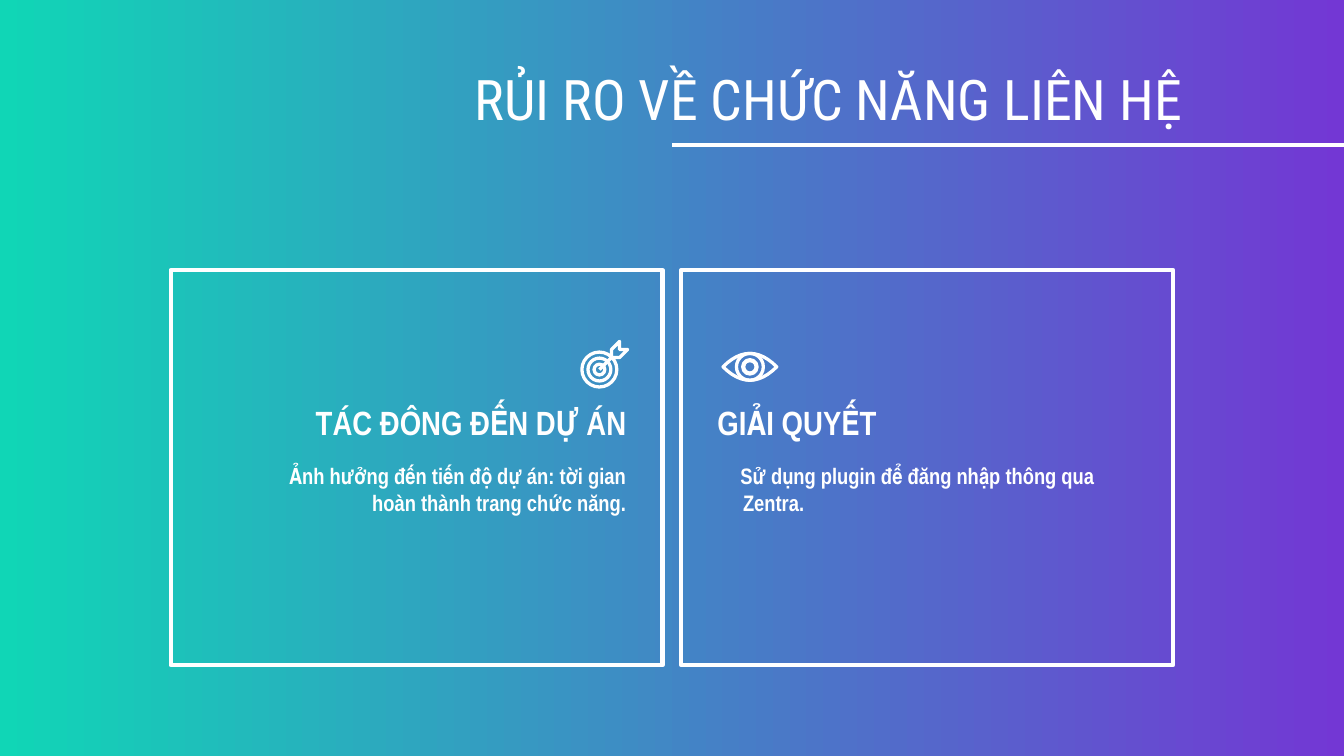
from lxml import etree
from pptx import Presentation
from pptx import util as u
from pptx.dml.color import RGBColor
from pptx.enum import shapes, text
from pptx.oxml import ns

WHITE = RGBColor(0xFF, 0xFF, 0xFF)
TEAL = RGBColor(0x10, 0xD6, 0xB6)
PURPLE = RGBColor(0x73, 0x37, 0xD4)
SLIDE_WIDTH = u.Inches(10)
SLIDE_HEIGHT = SLIDE_WIDTH * 9 // 16
CARD_LEFT, CARD_TOP, CARD_WIDTH, CARD_HEIGHT, CARD_GAP = 1.27, 2.01, 3.66, 2.94, 0.14
TEXT_WIDTH, TEXT_MARGIN = 3.06, 0.17
BORDER, ICON_STROKE = 2.25, 1.75
BODY_FONT, TITLE_FONT = "Arial Narrow", "Roboto Condensed"
RIGHT, LEFT = text.PP_ALIGN.RIGHT, text.PP_ALIGN.LEFT


def inches(*values):
    return [u.Inches(value) for value in values]


def outline(shape, width):
    shape.shadow.inherit = False
    shape.fill.background()
    shape.line.color.rgb = WHITE
    shape.line.width = u.Pt(width)


def add_line(slide, start, end, width):
    line = slide.shapes.add_connector(
        shapes.MSO_CONNECTOR.STRAIGHT, *inches(*start, *end))
    line.line.color.rgb = WHITE
    line.line.width = u.Pt(width)
    etree.SubElement(line._element.spPr, ns.qn("a:effectLst"))


def add_ring(slide, x, y, radius, width=ICON_STROKE):
    ring = slide.shapes.add_shape(
        shapes.MSO_SHAPE.OVAL, *inches(x - radius, y - radius, 2 * radius, 2 * radius))
    outline(ring, width)


def add_outline(slide, points):
    corners = [inches(*point) for point in points]
    builder = slide.shapes.build_freeform(*corners[0])
    builder.add_line_segments(corners[1:], close=True)
    outline(builder.convert_to_shape(), ICON_STROKE)


def add_text(slide, box, words, size, font, align, bold=True,
             anchor=text.MSO_ANCHOR.BOTTOM, margin=0, indent=0):
    frame = slide.shapes.add_textbox(*inches(*box)).text_frame
    frame.word_wrap = True
    frame.vertical_anchor = anchor
    frame.margin_left = frame.margin_right = u.Inches(0.1)
    frame.margin_top = frame.margin_bottom = u.Inches(0.1)
    paragraph = frame.paragraphs[0]
    paragraph.text = words
    paragraph.alignment = align
    if margin:
        properties = paragraph._p.get_or_add_pPr()
        properties.set("marL", str(u.Inches(margin)))
        properties.set("indent", str(u.Inches(indent)))
    paragraph.font.name = font
    paragraph.font.size = u.Pt(size)
    paragraph.font.bold = bold
    paragraph.font.color.rgb = WHITE


def target_icon(slide, left, top):
    """Three rings with a dart stuck in the middle."""
    x, y = left + 0.15, top + 0.22
    for radius in (0.13, 0.085, 0.04):
        add_ring(slide, x, y, radius)
    add_line(slide, (x, y), (x + 0.09, y - 0.09), ICON_STROKE)
    flight = [(0.09, 0.09), (0.09, 0.15), (0.15, 0.21),
              (0.15, 0.15), (0.21, 0.15), (0.15, 0.09)]
    add_outline(slide, [(x + across, y - up) for across, up in flight])


def eye_icon(slide, left, top):
    """Lens of two parabolas around an iris and a pupil."""
    half_width, half_height, steps = 0.2, 0.1, 12
    x, y = left + 0.22, top + 0.12
    shares = [2 * step / steps - 1 for step in range(steps + 1)]
    upper = [(x + half_width * share, y - half_height * (1 - share ** 2)) for share in shares]
    lower = [(across, 2 * y - down) for across, down in upper[-2:0:-1]]
    add_outline(slide, upper + lower)
    add_ring(slide, x, y, 0.1)
    add_ring(slide, x, y, 0.05, BORDER)


def header(slide, left, top, width, height):
    add_text(slide, (left, top, width, height), "RỦI RO VỀ CHỨC NĂNG LIÊN HỆ",
             30, TITLE_FONT, RIGHT, bold=False)
    slide_width = SLIDE_WIDTH.inches
    add_line(slide, (slide_width / 2, top + height), (slide_width, top + height), BORDER)


def card(slide, left, top, heading, body, align, margin, indent, icon, icon_offset):
    frame = slide.shapes.add_shape(
        shapes.MSO_SHAPE.RECTANGLE, *inches(left, top, CARD_WIDTH, CARD_HEIGHT))
    outline(frame, BORDER)
    text_left = left + TEXT_MARGIN
    if align == RIGHT:
        text_left = left + CARD_WIDTH - TEXT_MARGIN - TEXT_WIDTH
    add_text(slide, (text_left, top + 1.33, TEXT_WIDTH, 1.22), body, 12, BODY_FONT, align,
             anchor=text.MSO_ANCHOR.TOP, margin=margin, indent=indent)
    add_text(slide, (text_left, top + 0.67, TEXT_WIDTH, 0.71), heading, 18, BODY_FONT, align)
    icon(slide, left + icon_offset[0], top + icon_offset[1])


def paint_background(slide):
    fill = slide.background.fill
    fill.gradient()
    fill.gradient_angle = 0
    for stop, position, color in zip(fill.gradient_stops, (0, 1), (TEAL, PURPLE)):
        stop.position = position
        stop.color.rgb = color


def main():
    presentation = Presentation()
    presentation.slide_width = SLIDE_WIDTH
    presentation.slide_height = SLIDE_HEIGHT
    slide = presentation.slides.add_slide(presentation.slide_layouts[6])
    paint_background(slide)
    header(slide, 1.09, 0.15, 7.81, 0.93)
    cards = [
        ("TÁC ĐÔNG ĐẾN DỰ ÁN",
         "Ảnh hưởng đến tiến độ dự án: tời gian hoàn thành trang chức năng.",
         RIGHT, 0.5, -0.33, target_icon, (3.04, 0.52)),
        ("GIẢI QUYẾT", "Sử dụng plugin để đăng nhập thông qua Zentra.",
         LEFT, 0.19, -0.02, eye_icon, (0.29, 0.6)),
    ]
    for column, details in enumerate(cards):
        card(slide, CARD_LEFT + column * (CARD_WIDTH + CARD_GAP), CARD_TOP, *details)
    presentation.save("out.pptx")


if __name__ == "__main__":
    main()
